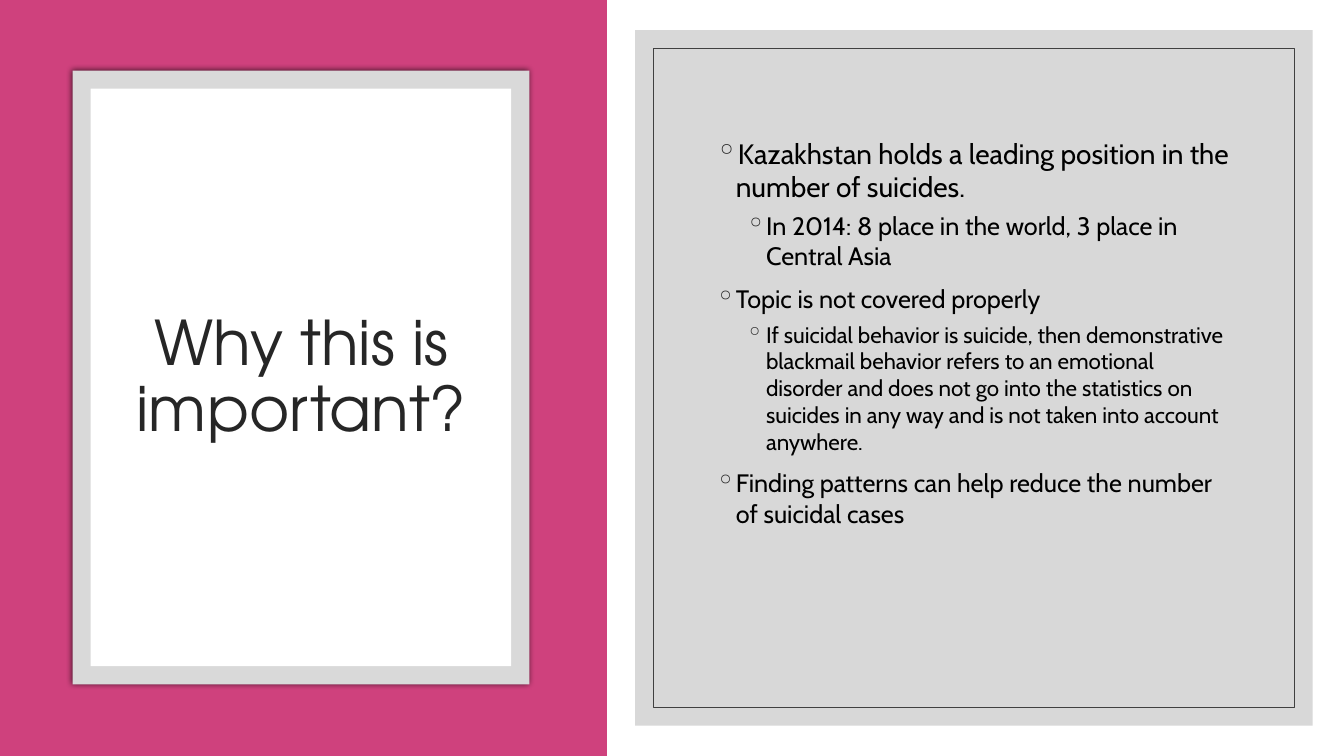
from lxml.etree import SubElement
from pptx import Presentation
from pptx.dml.color import RGBColor
from pptx.enum.shapes import MSO_SHAPE
from pptx.enum.text import MSO_ANCHOR, PP_ALIGN
from pptx.oxml import parse_xml
from pptx.oxml.ns import nsdecls, qn
from pptx.util import Inches, Pt


def rgb(value):
    """Return the colour for a hex string."""
    return RGBColor.from_string(value)


def add_rect(left, top, width, height, fill=None, line=None):
    """Add a rectangle, in inches, with optional fill and thin outline."""
    sp = s.shapes.add_shape(MSO_SHAPE.RECTANGLE, Inches(left), Inches(top),
                            Inches(width), Inches(height))
    sp.shadow.inherit = False
    if fill:
        sp.fill.solid()
        sp.fill.fore_color.rgb = rgb(fill)
    else:
        sp.fill.background()
    if line:
        sp.line.color.rgb = rgb(line)
        sp.line.width = Pt(0.5)
    else:
        sp.line.fill.background()
    return sp


W, H = 13.33, 7.5
BORDER = 0.18  # gap between each frame and its inner rectangle

prs = Presentation()
prs.slide_width, prs.slide_height = Inches(W), Inches(H)
s = prs.slides.add_slide(prs.slide_layouts[6])
s.background.fill.solid()
s.background.fill.fore_color.rgb = rgb("FFFFFF")

# Pink half with the framed title card
add_rect(0, 0, 6.02, H, "CF417D")
left, top, width, height = 0.72, 0.7, 4.53, 6.09
frame = add_rect(left, top, width, height, "D9D9D9")
effects = frame._element.spPr.find(qn("a:effectLst"))
effects.append(parse_xml(
    f'<a:outerShdw {nsdecls("a")} blurRad="{Pt(4)}" dist="0" dir="0" algn="ctr" '
    'rotWithShape="0"><a:srgbClr val="000000"><a:alpha val="66000"/></a:srgbClr>'
    '</a:outerShdw>'))
add_rect(left + BORDER, top + BORDER, width - 2 * BORDER, height - 2 * BORDER, "FFFFFF")

title = s.shapes.add_textbox(Inches(1.08), Inches(1.3), Inches(3.82), Inches(4.91))
tf = title.text_frame
tf.word_wrap = True
tf.vertical_anchor = MSO_ANCHOR.MIDDLE
p = tf.paragraphs[0]
p.text = "Why this is important?"
p.alignment = PP_ALIGN.CENTER
p.line_spacing = 0.9
p.font.name, p.font.size = "TeX Gyre Adventor", Pt(44)
p.font.color.rgb = rgb("262626")

# Grey panel with an inner outline
left, top, width, height = 6.3, 0.3, 6.72, 6.9
panel = add_rect(left, top, width, height, "BFBFBF")
color = panel._element.spPr.find(qn("a:solidFill")).find(qn("a:srgbClr"))
SubElement(color, qn("a:alpha"), val="60000")
add_rect(left + BORDER, top + BORDER, width - 2 * BORDER, height - 2 * BORDER, line="404040")

# Bullets: level, size, text
bullets = [
    (0, 20, "Kazakhstan holds a leading position in the number of suicides."),
    (1, 18, "In 2014: 8 place in the world, 3 place in Central Asia"),
    (0, 18, "Topic is not covered properly"),
    (1, 16, "If suicidal behavior is suicide, then demonstrative blackmail behavior "
            "refers to an emotional disorder and does not go into the statistics on "
            "suicides in any way and is not taken into account anywhere."),
    (0, 18, "Finding patterns can help reduce the number of suicidal cases"),
]
body = s.shapes.add_textbox(Inches(7), Inches(1.02), Inches(5.33), Inches(5.45))
tf = body.text_frame
tf.word_wrap = True
tf.vertical_anchor = MSO_ANCHOR.MIDDLE
tf.margin_bottom = Inches(0.95)  # lifts the list above the middle
for i, (level, size, text) in enumerate(bullets):
    p = tf.add_paragraph() if i else tf.paragraphs[0]
    p.text = text
    p.level = level
    p.space_before = Pt(5 if level else 9)
    p.font.name, p.font.size = "Cabin", Pt(size)
    p.font.color.rgb = rgb("000000")
    pPr = p._p.get_or_add_pPr()
    pPr.set("marL", str(Inches(0.2 + 0.3 * level)))
    pPr.set("indent", str(Inches(-0.2)))
    bullet_color = parse_xml(f'<a:buClr {nsdecls("a")}><a:srgbClr val="262626"/></a:buClr>')
    bullet = parse_xml(f'<a:buChar {nsdecls("a")} char="\u25e6"/>')
    pPr.find(qn("a:spcBef")).addnext(bullet_color)
    bullet_color.addnext(bullet)

prs.save("out.pptx")
